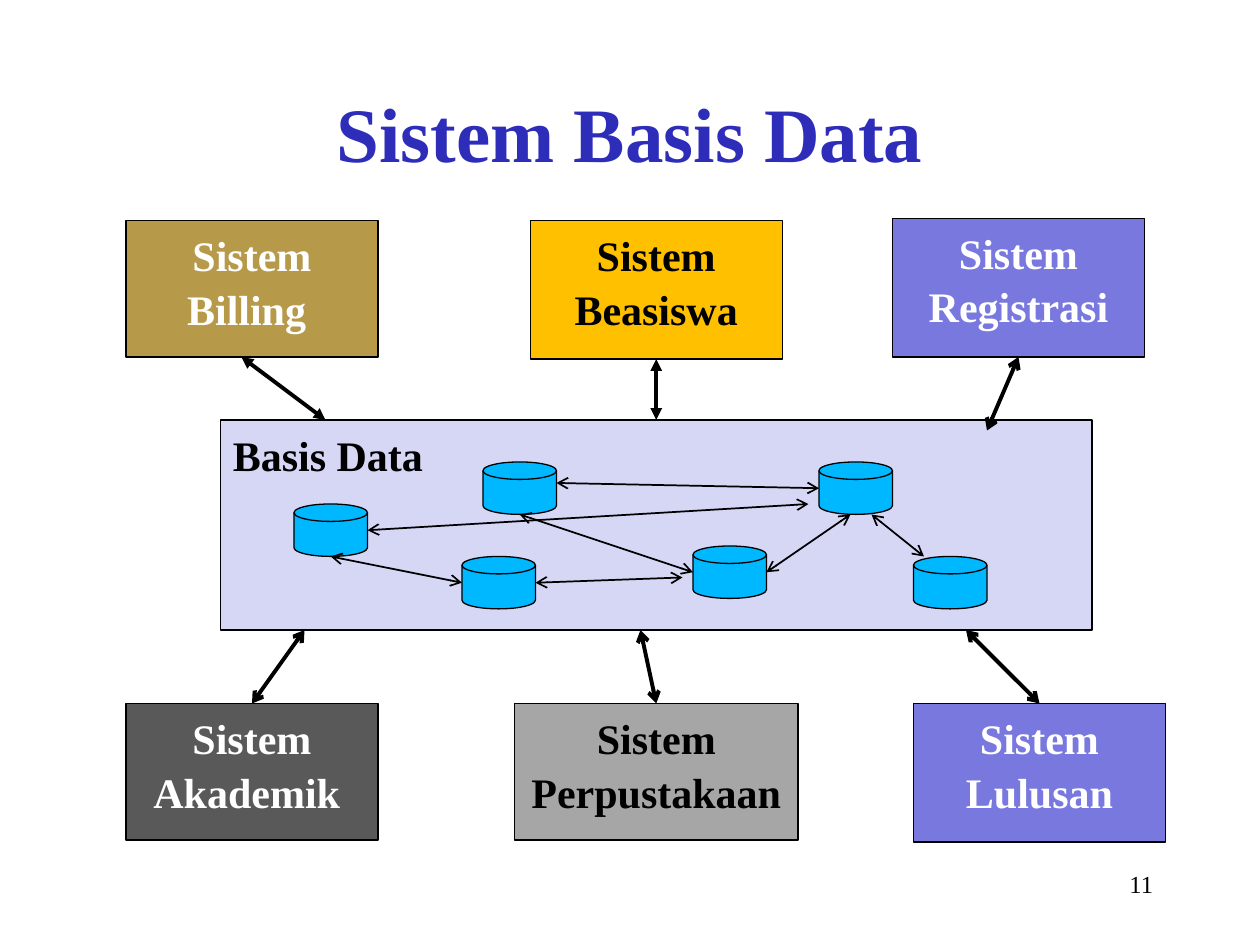
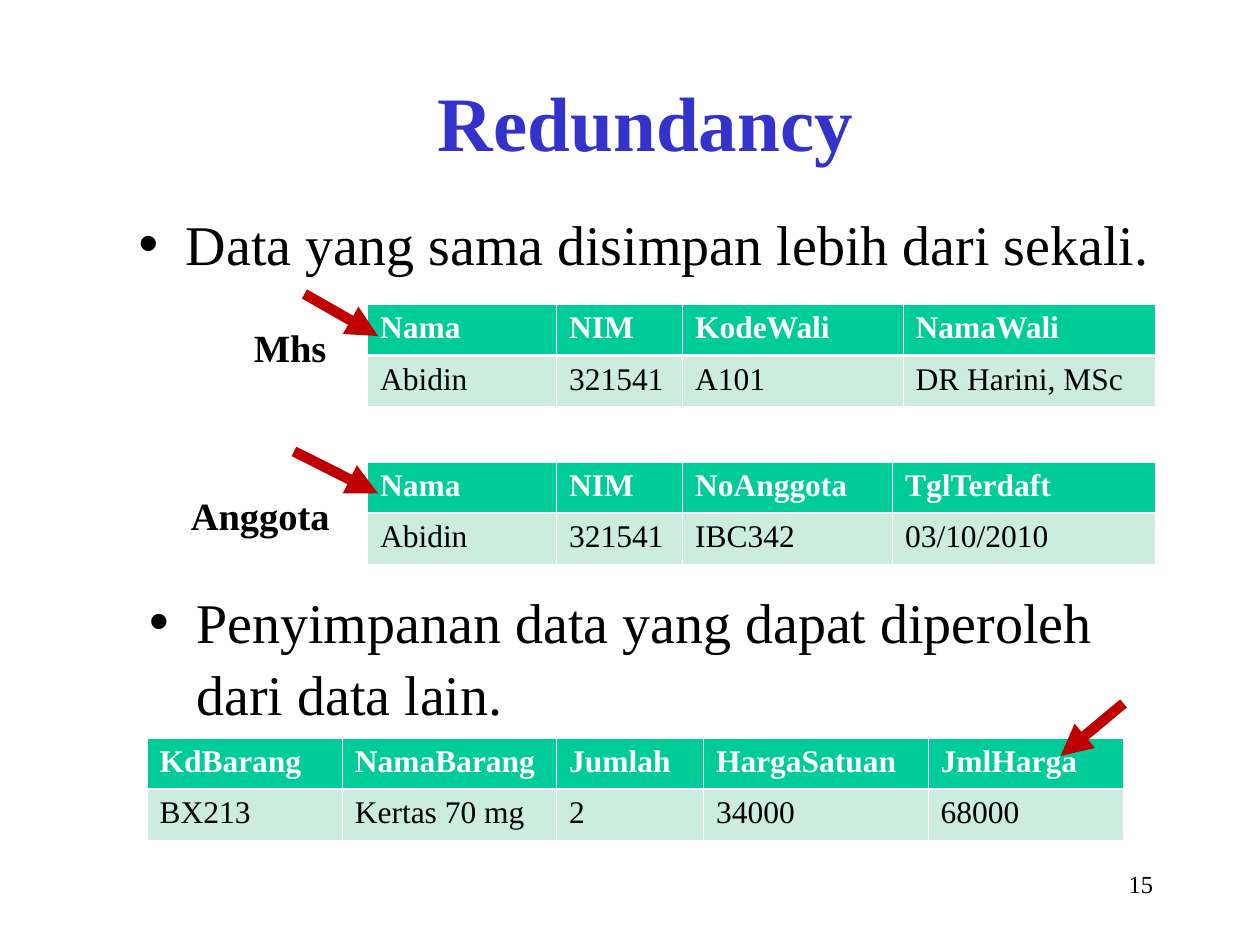
from pptx import Presentation
from pptx import util as u
from pptx.dml.color import RGBColor
from pptx.enum import shapes, text
from pptx.oxml import parse_xml
from pptx.oxml.ns import nsdecls
from pptx.oxml.xmlchemy import OxmlElement

FONT = "Times New Roman"
BLACK, WHITE, LAVENDER, VIOLET = "000000", "FFFFFF", "D6D6F5", "7878DE"
CYAN, RED, GREEN, MINT = "00B8FF", "C00000", "00CC99", "CBECDE"
UNITS_PER_INCH = 12
LINE_SPACING = 1.06
TITLE_ONLY, TWO_BODIES = 5, 3
NUMBER_AREA = (86, 82, 25, 6)

DATABASE = ("Basis Data", (21, 40, 83, 20))
SYSTEMS = [
    ("Sistem Billing ", (12, 21, 24, 13), "B69A4A", WHITE),
    ("Sistem Beasiswa", (50.5, 21, 24, 13.2), "FFC000", BLACK),
    ("Sistem Registrasi", (85, 20.8, 24, 13.2), VIOLET, WHITE),
    ("Sistem Akademik ", (12, 67, 24, 13), "595959", WHITE),
    ("Sistem Perpustakaan ", (49, 67, 27, 13), "A6A6A6", BLACK),
    ("Sistem Lulusan", (87, 67, 24, 13.2), VIOLET, WHITE),
]
DISK_SIZE = (7, 5)
DISKS = [(28, 48), (46, 44), (66, 52), (78, 44), (87, 53), (44, 53)]
DISK_LINKS = [
    ((78, 46.5), (53, 46)),
    ((77, 48), (35, 50.5)),
    ((66, 54.5), (49.5, 49)),
    ((81, 49), (73, 54.5)),
    ((65, 55), (51, 55.5)),
    ((88, 53), (83, 49)),
    ((44, 55.5), (31.5, 53)),
]
SYSTEM_LINKS = [
    ((31, 40), (23, 34), "triangle"),
    ((62.5, 40), (62.5, 34.2), "triangle"),
    ((94, 41), (97, 34), "arrow"),
    ((24, 67), (29, 60), "arrow"),
    ((62.5, 67), (61, 60), "arrow"),
    ((99, 67), (92, 60), "arrow"),
]

BULLETS = [
    ("Data yang sama disimpan lebih dari sekali.", (12, 19, 101, 9)),
    ("Penyimpanan data yang dapat diperoleh dari data lain.", (13, 55, 94, 14)),
]
TABLES = [
    ((35, 29), (18, 12, 21, 24),
     [("Nama", "NIM", "KodeWali", "NamaWali"),
      ("Abidin", "321541", "A101", "DR Harini, MSc")]),
    ((35, 44), (18, 12, 20, 25),
     [("Nama", "NIM", "NoAnggota", "TglTerdaft"),
      ("Abidin", "321541", "IBC342", "03/10/2010")]),
    ((14, 70.3), (18.6, 20.4, 14, 21.4, 18.6),
     [("KdBarang", "NamaBarang", "Jumlah", "HargaSatuan", "JmlHarga"),
      ("BX213", "Kertas 70 mg", "2", "34000", "68000")]),
]
ROW_HEIGHT = 4.87
TABLE_NAMES = [("Mhs", (23, 30, 11, 5.6)), ("Anggota", (17, 46, 17, 5.6))]
POINTERS = [((29, 28), (36, 32)), ((28, 43), (36, 47)), ((107, 67), (101, 72))]


def color(value):
    return RGBColor.from_string(value)


def grid(*units):
    return [u.Inches(unit / UNITS_PER_INCH) for unit in units]


def write(frame, words, size, ink=BLACK, bold=False, align=None, spacing=LINE_SPACING):
    paragraph = frame.paragraphs[0]
    paragraph.alignment = align
    paragraph.line_spacing = spacing
    paragraph.space_before = u.Pt(0)
    run = paragraph.add_run()
    run.text = words
    run.font.name = FONT
    run.font.size = u.Pt(size)
    run.font.bold = bold
    run.font.color.rgb = color(ink)


def fill_placeholder(shape, area, words, size, **style):
    shape.left, shape.top, shape.width, shape.height = grid(*area)
    shape.text_frame.auto_size = text.MSO_AUTO_SIZE.NONE
    write(shape.text_frame, words, size, **style)


def add_label(slide, area, words, size, **style):
    frame = slide.shapes.add_textbox(*grid(*area)).text_frame
    frame.word_wrap = True
    write(frame, words, size, **style)


def add_slide(presentation, layout, title, area, ink, number):
    slide = presentation.slides.add_slide(presentation.slide_layouts[layout])
    fill_placeholder(slide.shapes.title, area, title, 44, ink=ink, bold=True,
                     align=text.PP_ALIGN.CENTER, spacing=1)
    add_label(slide, NUMBER_AREA, number, 14, align=text.PP_ALIGN.RIGHT)
    return slide


def add_block(slide, kind, area, fill):
    shape = slide.shapes.add_shape(kind, *grid(*area))
    shape.shadow.inherit = False
    shape.fill.solid()
    shape.fill.fore_color.rgb = color(fill)
    shape.line.color.rgb = color(BLACK)
    shape.line.width = u.Pt(0.75)
    return shape


def add_process(slide, words, area, fill, ink, align):
    shape = add_block(slide, shapes.MSO_SHAPE.FLOWCHART_PROCESS, area, fill)
    frame = shape.text_frame
    frame.word_wrap = True
    frame.vertical_anchor = text.MSO_ANCHOR.TOP
    frame.margin_left = frame.margin_right = u.Inches(0.1)
    frame.margin_top = frame.margin_bottom = u.Inches(0.05)
    write(frame, words, 24, ink, True, align)


def add_arrow(slide, start, end, width, head, ends, ink=BLACK):
    connector = slide.shapes.add_connector(
        shapes.MSO_CONNECTOR.STRAIGHT, *grid(*start, *end))
    connector.line.color.rgb = color(ink)
    connector.line.width = u.Pt(width)
    for end_name in ends:
        arrowhead = OxmlElement(f"a:{end_name}")
        arrowhead.set("type", head)
        connector.line._get_or_add_ln().append(arrowhead)
    connector._element.spPr.append(OxmlElement("a:effectLst"))


def add_borders(cell, is_header):
    widths = {"L": 0.45, "R": 0.45,
              "T": 0.45 if is_header else 1.47,
              "B": 1.47 if is_header else 0.45}
    for side, width in widths.items():
        cell._tc.get_or_add_tcPr().append(parse_xml(
            f'<a:ln{side} {nsdecls("a")} w="{u.Pt(width)}"><a:solidFill>'
            f'<a:srgbClr val="{WHITE}"/></a:solidFill></a:ln{side}>'))


def add_data_table(slide, corner, columns, rows):
    size = (sum(columns), ROW_HEIGHT * len(rows))
    table = slide.shapes.add_table(
        len(rows), len(columns), *grid(*corner, *size)).table
    table.horz_banding = False
    for column, width in zip(table.columns, grid(*columns)):
        column.width = width
    for row_index, values in enumerate(rows):
        is_header = row_index == 0
        for column_index, value in enumerate(values):
            cell = table.cell(row_index, column_index)
            add_borders(cell, is_header)
            cell.fill.solid()
            cell.fill.fore_color.rgb = color(GREEN if is_header else MINT)
            write(cell.text_frame, value, 18, WHITE if is_header else BLACK,
                  is_header, spacing=1)


def build_database_slide(presentation):
    slide = add_slide(presentation, TITLE_ONLY, "Sistem Basis Data",
                      (9, 5, 102, 15), "2D2DB9", "11")
    add_process(slide, *DATABASE, LAVENDER, BLACK, text.PP_ALIGN.LEFT)
    for system in SYSTEMS:
        add_process(slide, *system, text.PP_ALIGN.CENTER)
    for corner in DISKS:
        add_block(slide, shapes.MSO_SHAPE.FLOWCHART_MAGNETIC_DISK,
                  corner + DISK_SIZE, CYAN)
    both_ends = ("headEnd", "tailEnd")
    for start, end in DISK_LINKS:
        add_arrow(slide, start, end, 1, "arrow", both_ends)
    for start, end, head in SYSTEM_LINKS:
        add_arrow(slide, start, end, 2.25, head, both_ends)


def build_redundancy_slide(presentation):
    slide = add_slide(presentation, TWO_BODIES, "Redundancy",
                      (8, 5, 107, 13), "3333CC", "15")
    bodies = list(slide.placeholders)[1:]
    for body, (words, area) in zip(bodies, BULLETS):
        fill_placeholder(body, area, words, 32)
    for table in TABLES:
        add_data_table(slide, *table)
    for name, area in TABLE_NAMES:
        add_label(slide, area, name, 22, bold=True)
    for start, end in POINTERS:
        add_arrow(slide, start, end, 6, "triangle", ("tailEnd",), RED)


def main():
    presentation = Presentation()
    presentation.slide_width, presentation.slide_height = grid(120, 90)
    build_database_slide(presentation)
    build_redundancy_slide(presentation)
    presentation.save("out.pptx")


if __name__ == "__main__":
    main()
